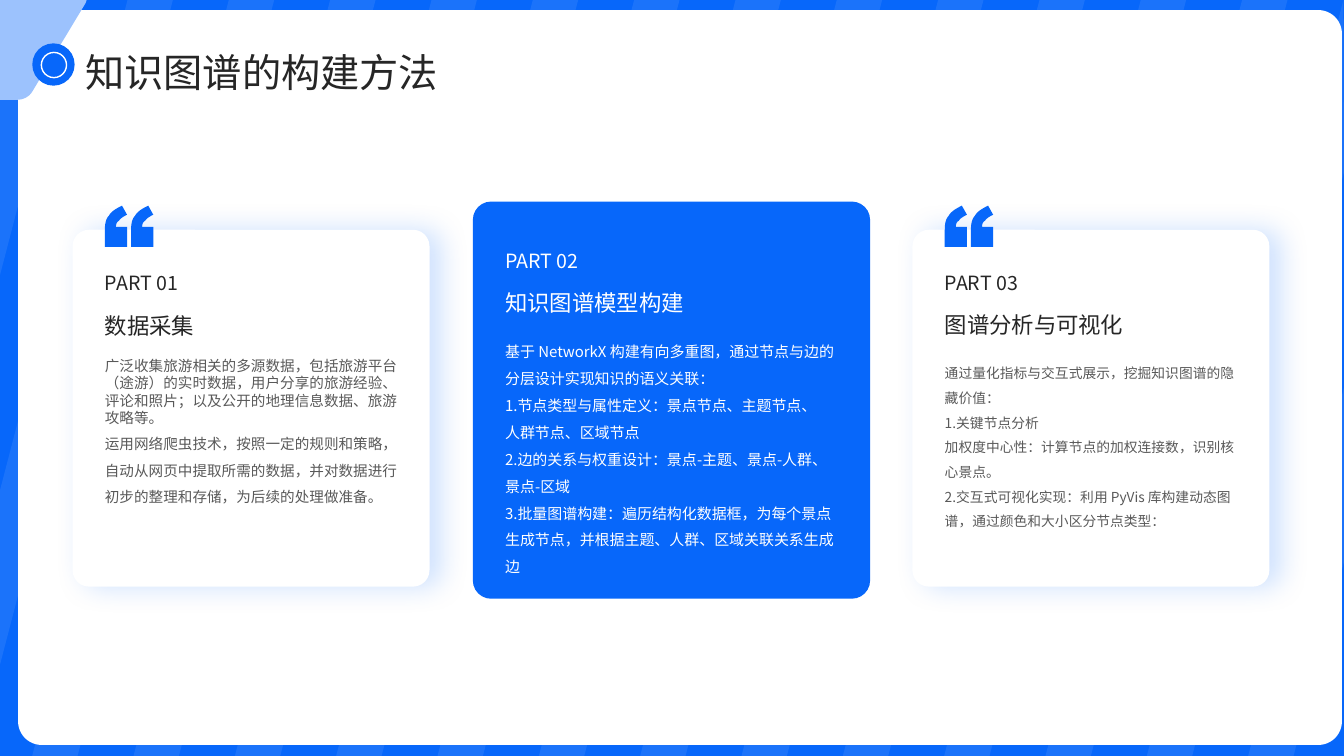
from lxml import etree
from pptx import Presentation
from pptx.dml.color import RGBColor
from pptx.enum.shapes import MSO_SHAPE
from pptx.enum.text import MSO_ANCHOR
from pptx.oxml.ns import qn
from pptx.util import Pt

PX = 9144  # 100 px to the inch
WIDE, HIGH = 1333, 750
FONT = "Noto Sans CJK SC"
RECT, ROUND, OVAL = MSO_SHAPE.RECTANGLE, MSO_SHAPE.ROUNDED_RECTANGLE, MSO_SHAPE.OVAL
TOP, MIDDLE = MSO_ANCHOR.TOP, MSO_ANCHOR.MIDDLE
BLUE = RGBColor(0x07, 0x67, 0xFA)
PALE = RGBColor(0xCD, 0xE1, 0xFE)
SKY = RGBColor(0x9C, 0xC2, 0xFD)
WHITE = RGBColor(0xFF, 0xFF, 0xFF)
DARK = RGBColor(0x26, 0x26, 0x26)
GREY = RGBColor(0x59, 0x59, 0x59)

# Outlines: a pair is a corner, six numbers are a curve
MARK = [(17, 0), (22, 9), (18, 11, 15, 13, 14, 15), (12, 16, 11, 18, 11, 21),
        (22, 21), (22, 41), (0, 41), (0, 24), (0, 18, 1, 13, 4, 10),
        (6, 6, 11, 3, 17, 0)]
CORNER = [(0, 0), (86, 0), (85, 3), (32, 91), (29, 96, 23, 99, 17, 99), (0, 99)]

# Left, part, heading, heading top, body size, body (line spacing, text)
SIDES = [
    (72, "PART 01", "数据采集", 297, 10.4, [
        (1.0, "广泛收集旅游相关的多源数据，包括旅游平台（途游）的实时数据，"
              "用户分享的旅游经验、评论和照片；以及公开的地理信息数据、旅游攻略等。"),
        (1.5, "运用网络爬虫技术，按照一定的规则和策略，自动从网页中提取所需的数据，"
              "并对数据进行初步的整理和存储，为后续的处理做准备。")]),
    (905, "PART 03", "图谱分析与可视化", 296, 9.8, [
        (1.5, "通过量化指标与交互式展示，挖掘知识图谱的隐藏价值："),
        (1.5, "1.关键节点分析"),
        (1.5, "加权度中心性：计算节点的加权连接数，识别核心景点。"),
        (1.5, "2.交互式可视化实现：利用 PyVis 库构建动态图谱，"
              "通过颜色和大小区分节点类型：")]),
]
MODEL = [(1.5, text) for text in (
    "基于 NetworkX 构建有向多重图，通过节点与边的分层设计实现知识的语义关联：",
    "1.节点类型与属性定义：景点节点、主题节点、",
    "人群节点、区域节点",
    "2.边的关系与权重设计：景点-主题、景点-人群、",
    "景点-区域",
    "3.批量图谱构建：遍历结构化数据框，为每个景点生成节点，"
    "并根据主题、人群、区域关联关系生成边",
)]


def emu(*sizes):
    return [round(size * PX) for size in sizes]


def paint(shape, fill, line=None):
    shape.shadow.inherit = False
    shape.fill.solid()
    shape.fill.fore_color.rgb = fill
    if line is None:
        shape.line.fill.background()
    else:
        shape.line.color.rgb = line
        shape.line.width = Pt(1)


def fade(clr, share):
    etree.SubElement(clr, qn("a:alpha"), val=str(share * 1000))


def add_box(slide, kind, place, fill, curve=None, line=None):
    shape = slide.shapes.add_shape(kind, *emu(*place))
    if curve is not None:
        shape.adjustments[0] = curve
    paint(shape, fill, line)
    return shape


def add_glow(shape):
    """Cast a soft blue shadow to the right."""
    effects = shape._element.spPr.find(qn("a:effectLst"))
    glow = etree.SubElement(effects, qn("a:outerShdw"), blurRad=str(Pt(20)),
                            dist=str(Pt(8)), dir="0", algn="l", rotWithShape="0")
    fade(etree.SubElement(glow, qn("a:srgbClr"), val=str(BLUE)), 20)


def trace(path, left=0, top=0, steps=8):
    """Turn corners and curves into a list of points."""
    points = []
    for part in path:
        if len(part) == 2:
            points.append(part)
            continue
        ends = [points[-1], part[:2], part[2:4], part[4:]]
        for step in range(1, steps + 1):
            t = step / steps
            u = 1 - t
            shares = (u ** 3, 3 * u * u * t, 3 * u * t * t, t ** 3)
            points.append(tuple(sum(s * end[axis] for s, end in zip(shares, ends))
                                for axis in (0, 1)))
    return [(x + left, y + top) for x, y in points]


def add_free(slide, loops, fill):
    loops = [[emu(*point) for point in loop] for loop in loops]
    pen = slide.shapes.build_freeform(*loops[0][0], scale=1.0)
    for i, loop in enumerate(loops):
        if i:
            pen.move_to(*loop[0])
        pen.add_line_segments(loop[1:], close=True)
    shape = pen.convert_to_shape()
    paint(shape, fill)
    return shape


def add_bands(slide):
    """Draw slanted stripes, cut off at the slide edges."""
    lean = 0.26
    loops = []
    for i in range(15):
        ends = []
        for x in (26 + 100.5 * i, 71 + 100.5 * i):
            high, low = max(0, (x - WIDE) / lean), min(HIGH, x / lean)
            ends.append([(x - lean * y, y) for y in (high, low)])
        (a, b), (c, d) = ends
        loops.append([a, c, d, b])
    shape = add_free(slide, loops, PALE)
    fade(shape._element.spPr.find(qn("a:solidFill"))[0], 10)


def add_text(slide, place, lines, size, color, anchor=MIDDLE, inset=0):
    """Write lines, each a pair of line spacing and text."""
    frame = slide.shapes.add_textbox(*emu(*place)).text_frame
    frame.word_wrap = True
    frame.vertical_anchor = anchor
    frame.margin_left = frame.margin_right = inset * PX
    frame.margin_top = frame.margin_bottom = inset // 2 * PX
    frame.text = "\n".join(text for _, text in lines)
    for para, (space, _) in zip(frame.paragraphs, lines):
        para.line_spacing = space
        for run in para.runs:
            run.font.size = Pt(size)
            run.font.color.rgb = color
            run.font.name = FONT
            etree.SubElement(run.font._element, qn("a:ea"), typeface=FONT)


def add_side(slide, left, part, head, top, size, body):
    add_glow(add_box(slide, ROUND, (left, 228, 354, 354), WHITE, 0.046))
    x = left + 32
    add_text(slide, (x, top, 291, 47), [(1.2, head)], 16, DARK)
    add_text(slide, (x, 354, 291, 208), body, size, GREY, TOP)
    add_text(slide, (x, 268, 291, 24), [(1.0, part)], 14, DARK)
    add_free(slide, [trace(MARK, x + gap, 204) for gap in (0, 26)], BLUE)


def add_main(slide):
    add_box(slide, ROUND, (469, 200, 394, 394), BLUE, 0.046)
    add_text(slide, (501, 274, 331, 47), [(1.2, "知识图谱模型构建")], 16, WHITE)
    add_text(slide, (501, 331, 331, 231), MODEL, 10.7, WHITE, TOP)
    add_text(slide, (501, 245, 331, 27), [(1.0, "PART 02")], 14, WHITE)


def main():
    deck = Presentation()
    deck.slide_width, deck.slide_height = emu(WIDE, HIGH)
    slide = deck.slides.add_slide(deck.slide_layouts[6])
    add_box(slide, RECT, (0, 0, WIDE, HIGH), BLUE)
    add_bands(slide)
    add_box(slide, ROUND, (18, 10, 1313, 729), WHITE, 0.032)
    for side in SIDES:
        add_side(slide, *side)
    add_main(slide)
    add_text(slide, (75, 38, 1087, 53), [(1.3, "知识图谱的构建方法")], 28, DARK, inset=10)
    add_free(slide, [trace(CORNER)], SKY)
    add_box(slide, OVAL, (32, 43, 42, 42), BLUE)
    add_box(slide, OVAL, (41, 52, 25, 25), BLUE, line=WHITE)
    deck.save("out.pptx")


if __name__ == "__main__":
    main()
